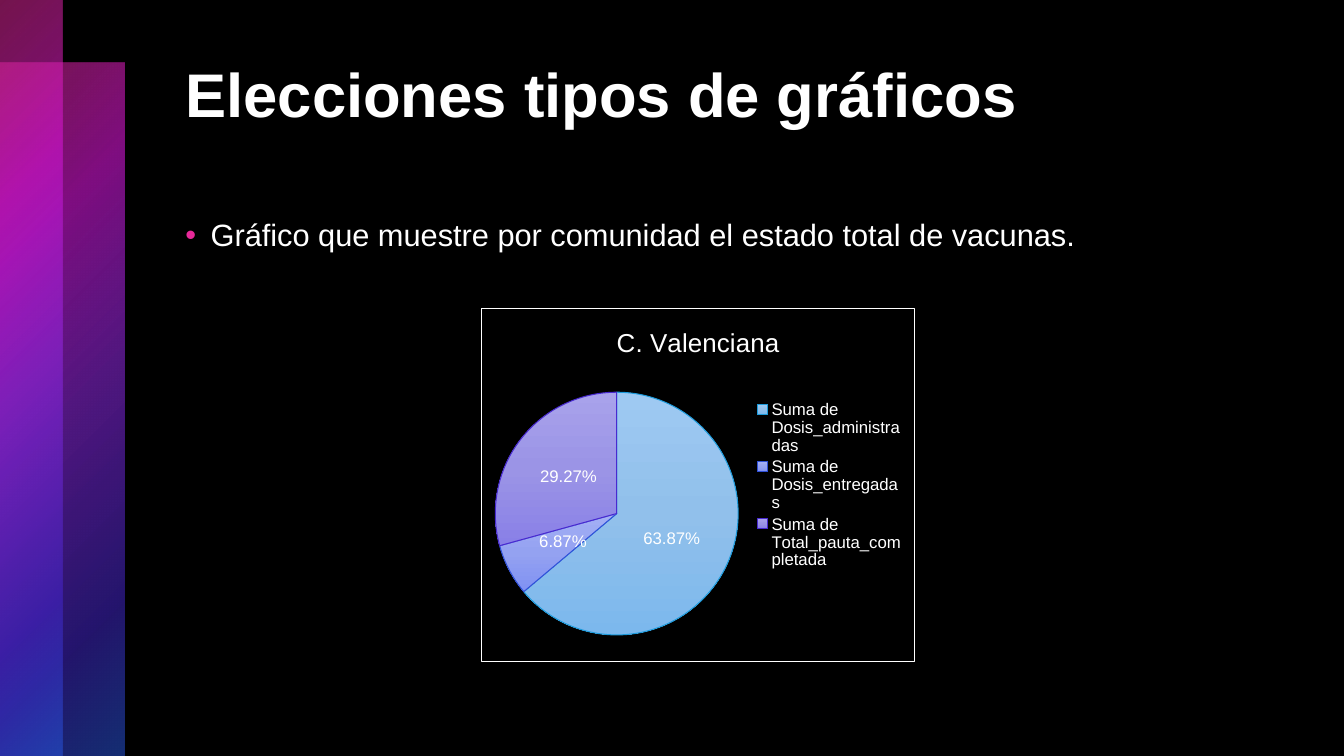
from lxml.etree import fromstring
from pptx import Presentation
from pptx.chart.data import CategoryChartData
from pptx.dml.color import RGBColor
from pptx.enum.chart import XL_CHART_TYPE, XL_LABEL_POSITION, XL_LEGEND_POSITION
from pptx.enum.shapes import MSO_SHAPE
from pptx.enum.text import MSO_ANCHOR, PP_ALIGN
from pptx.util import Cm, Pt

TITLE = "Elecciones tipos de gráficos"
POINT = "Gráfico que muestre por comunidad el estado total de vacunas."
REGION = "C. Valenciana"
SLICES = [
    ("Suma de Dosis_administradas", 63.87, ("9EC9F2", "91C0EB", "7CB8ED"), RGBColor(0x1C, 0x9A, 0xDB)),
    ("Suma de Dosis_entregadas", 6.87, ("A3AFF4", "94A2F1", "8091F3"), RGBColor(0x2F, 0x50, 0xD8)),
    ("Suma de Total_pauta_completada", 29.27, ("A8A2EB", "9B94E6", "8980E7"), RGBColor(0x48, 0x2A, 0xD0)),
]
BANDS = [(0, 1.58, 3.15, 17.47), (0, 0, 1.58, 19.05)]
GLOW = [(0, "E72999", 50), (25, "D417D5", 60), (50, "9729E7", 55),
        (81, "462AD8", 50), (99, "295AE7", 50)]
WHITE = RGBColor(255, 255, 255)
BLACK = RGBColor(0, 0, 0)
FONT = "Arial"
LEFT, WIDTH = Cm(4.42), Cm(26.34)
A = "http://schemas.openxmlformats.org/drawingml/2006/main"
C = "http://schemas.openxmlformats.org/drawingml/2006/chart"
ROUND = '<a:path path="circle"><a:fillToRect r="100000" b="100000"/></a:path>'
DOWN = '<a:lin ang="5400000" scaled="0"/>'


def style(font, size, bold=False):
    """Apply the common white face at a given size."""
    font.name, font.size, font.bold = FONT, Pt(size), bold
    font.color.rgb = WHITE


def blend(fill, stops, course):
    """Fill with a gradient of (position, colour, opacity) stops."""
    fill.solid()
    marks = "".join(
        f'<a:gs pos="{pos * 1000}"><a:srgbClr val="{tone}">'
        f'<a:alpha val="{alpha * 1000}"/></a:srgbClr></a:gs>'
        for pos, tone, alpha in stops)
    node = fromstring(f'<a:gradFill xmlns:a="{A}" rotWithShape="1">'
                      f'<a:gsLst>{marks}</a:gsLst>{course}</a:gradFill>')
    solid = fill._xPr.find(f"{{{A}}}solidFill")
    fill._xPr.replace(solid, node)


def add_bands(slide):
    """Draw the two overlapping side bands."""
    for box in BANDS:
        band = slide.shapes.add_shape(MSO_SHAPE.RECTANGLE, *map(Cm, box))
        band.shadow.inherit = False
        band.line.fill.background()
        blend(band.fill, GLOW, ROUND)


def add_words(slide):
    """Place the title and the bullet."""
    title = slide.shapes.title
    title.left, title.top, title.width, title.height = LEFT, Cm(1.27), WIDTH, Cm(4.32)
    body = slide.shapes.add_textbox(LEFT, Cm(5.23), WIDTH, Cm(10.9))
    for shape, text, size, bold in ((title, TITLE, 44, True), (body, POINT, 22, False)):
        frame = shape.text_frame
        frame.word_wrap = True
        frame.vertical_anchor = MSO_ANCHOR.TOP
        frame.text = text
        para = frame.paragraphs[0]
        para.alignment = PP_ALIGN.LEFT
        style(para.font, size, bold)
    para.line_spacing, para.space_before = 1.1, Pt(12)
    props = para._p.get_or_add_pPr()
    props.set("marL", str(Cm(0.64)))
    props.set("indent", str(Cm(-0.64)))
    for xml in ('<a:buClr xmlns:a="%s"><a:srgbClr val="E72999"/></a:buClr>',
                '<a:buFont xmlns:a="%s" typeface="Arial"/>',
                '<a:buChar xmlns:a="%s" char="•"/>'):
        props.insert_element_before(fromstring(xml % A), "a:tabLst", "a:defRPr", "a:extLst")


def add_pie(slide):
    """Add the framed pie chart."""
    data = CategoryChartData()
    data.categories = [name for name, *_ in SLICES]
    data.add_series(REGION, [value for _, value, *_ in SLICES])
    chart = slide.shapes.add_chart(XL_CHART_TYPE.PIE, Cm(12.12), Cm(7.75),
                                   Cm(10.95), Cm(8.94), data).chart
    style(chart.font, 10)
    chart.has_title = True
    chart.chart_title.text_frame.text = REGION
    style(chart.chart_title.text_frame.paragraphs[0].font, 18.6)
    chart.has_legend = True
    chart.legend.position = XL_LEGEND_POSITION.RIGHT
    chart.legend.include_in_layout = False
    style(chart.legend.font, 12)
    plot = chart.plots[0]
    plot.vary_by_categories = True
    plot.has_data_labels = True
    labels = plot.data_labels
    labels.show_value = True
    labels.number_format, labels.number_format_is_linked = '0.00"%"', False
    labels.position = XL_LABEL_POSITION.CENTER
    style(labels.font, 12)
    for index, (_, _, tones, edge) in enumerate(SLICES):
        part = plot.series[0].points[index].format
        blend(part.fill, zip((0, 50, 100), tones, (100,) * 3), DOWN)
        part.line.color.rgb, part.line.width = edge, Pt(0.75)
    frame = fromstring(
        f'<c:spPr xmlns:c="{C}" xmlns:a="{A}"><a:noFill/><a:ln w="{Pt(0.75)}">'
        f'<a:solidFill><a:srgbClr val="{WHITE}"/></a:solidFill></a:ln></c:spPr>')
    chart._chartSpace.find(f"{{{C}}}chart").addnext(frame)


def main():
    """Build and save the slide."""
    deck = Presentation()
    deck.slide_width, deck.slide_height = Cm(33.87), Cm(19.05)
    slide = deck.slides.add_slide(deck.slide_layouts[5])
    slide.background.fill.solid()
    slide.background.fill.fore_color.rgb = BLACK
    add_bands(slide)
    add_words(slide)
    add_pie(slide)
    deck.save("out.pptx")


if __name__ == "__main__":
    main()
